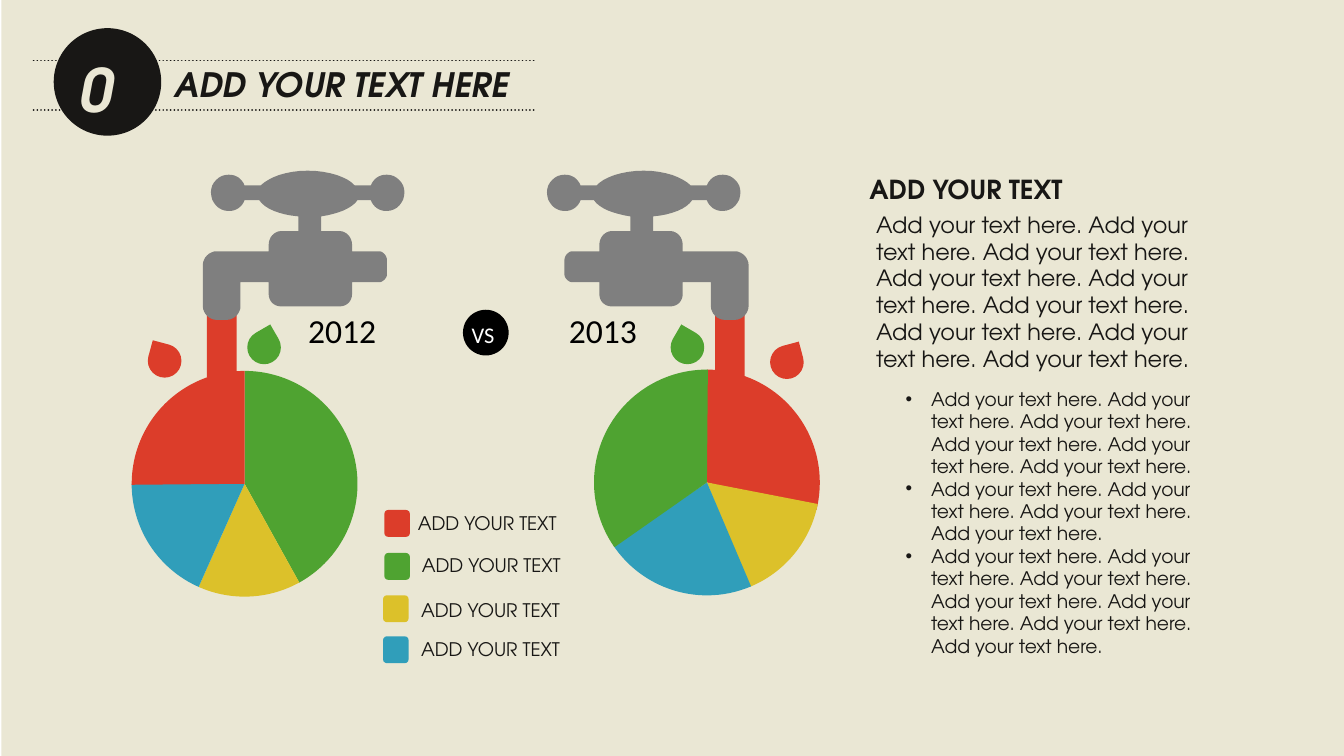
from lxml import etree
from pptx import Presentation
from pptx import util as u
from pptx.dml.color import RGBColor
from pptx.enum import dml, shapes, text
from pptx.oxml.ns import qn

# Grid: 1000 columns by 562.5 rows (16:9), each cell 0.01 inch
COLS, ROWS = 1000, 562.5
CELL = u.Inches(0.01)

INK = RGBColor(0x18, 0x17, 0x15)
SAND = RGBColor(0xEA, 0xE7, 0xD4)
RED = RGBColor(0xDC, 0x3D, 0x2A)
GREEN = RGBColor(0x4F, 0xA3, 0x31)
GOLD = RGBColor(0xDC, 0xC1, 0x2A)
BLUE = RGBColor(0x30, 0x9E, 0xBA)
GREY = RGBColor(0x7F, 0x7F, 0x7F)
BLACK = RGBColor(0, 0, 0)
WHITE = RGBColor(255, 255, 255)
MAIN, PLAIN = "TeX Gyre Adventor", "Calibri"
KIND = shapes.MSO_SHAPE

# Content
LINE = "Add your text here."
HEAD = "ADD YOUR TEXT"
BODY = [" ".join([LINE] * 9)]
POINTS = [" ".join([LINE] * n) for n in (6, 4, 7)]

# Legend: colour, swatch left and top, label left and top
KEYS = [
    (RED, 286, 379.5, 301, 376),
    (GREEN, 286, 411.5, 304, 407),
    (GOLD, 285, 443, 303.5, 441),
    (BLUE, 285, 473.5, 303.5, 470),
]

# Pies: left, top, slices as (colour, start, end) in degrees clockwise from the right
PIES = [
    (98, 276, [(GREEN, 270, 61), (GOLD, 61, 114), (BLUE, 114, 180), (RED, 179.5, 270)]),
    (442, 275, [(RED, 270, 14), (GOLD, 11, 68), (BLUE, 67, 146), (GREEN, 145, 270.5)]),
]
PIE = 168

# Drops: colour, left, top, turn
DROPS = [
    (RED, 110, 256, 285), (GREEN, 184, 246, 330),
    (RED, 573, 257, 345), (GREEN, 499, 246, 300),
]
STREAMS = [(154, 233), (532, 234)]
YEARS = [("2012", 219.5), ("2013", 413.5)]

# Tap outline: two numbers are a line, six a curve
TAP = [
    (229, 127), (245, 127, 259, 132, 264, 138), (276, 138),
    (278, 133, 282, 130, 288, 130), (295, 130, 301, 136, 301, 143),
    (301, 151, 295, 157, 288, 157), (282, 157, 278, 154, 276, 149),
    (266, 149), (262, 155, 252, 159, 239, 161), (239, 172), (253, 172),
    (258, 172, 262, 177, 262, 182), (262, 187), (282, 187),
    (285, 187, 288, 190, 288, 194), (288, 204), (288, 207, 285, 210, 282, 210),
    (262, 210), (262, 219), (262, 224, 258, 228, 253, 228), (209, 228),
    (204, 228, 200, 224, 200, 219), (200, 210), (179, 210), (179, 228),
    (179, 233, 174, 238, 169, 238), (161, 238), (156, 238, 151, 233, 151, 228),
    (151, 197), (151, 192, 156, 187, 161, 187), (200, 187), (200, 182),
    (200, 177, 204, 172, 209, 172), (222, 172), (222, 161),
    (208, 160, 197, 155, 193, 149), (182, 149), (180, 154, 176, 157, 170, 157),
    (163, 157, 157, 151, 157, 143), (157, 136, 163, 130, 170, 130),
    (176, 130, 180, 133, 182, 138), (194, 138), (200, 132, 213, 127, 229, 127),
]
MIRROR = 151 + 557  # left edge of one tap plus right edge of the other


def grid(*cells):
    return [u.Emu(round(c * CELL)) for c in cells]


deck = Presentation()
deck.slide_width, deck.slide_height = grid(COLS, ROWS)
slide = deck.slides.add_slide(deck.slide_layouts[6])


def paint(item, tint):
    item.shadow.inherit = False
    item.fill.solid()
    item.fill.fore_color.rgb = tint
    item.line.fill.background()
    return item


def shape(kind, tint, *box):
    return paint(slide.shapes.add_shape(kind, *grid(*box)), tint)


def write(lines, *box, size=10, font=MAIN, tint=INK, bold=False,
          slant=False, wrap=False, dots=False):
    if isinstance(lines, str):
        lines = [lines]
    frame = slide.shapes.add_textbox(*grid(*box)).text_frame
    frame.word_wrap = wrap
    frame.auto_size = text.MSO_AUTO_SIZE.SHAPE_TO_FIT_TEXT
    for i, line in enumerate(lines):
        para = frame.paragraphs[0] if i == 0 else frame.add_paragraph()
        run = para.add_run()
        run.text = line
        if dots:
            prop = para._p.get_or_add_pPr()
            prop.set("marL", str(19 * CELL))
            prop.set("indent", str(-19 * CELL))
            hue = etree.SubElement(prop, qn("a:buClr"))
            etree.SubElement(hue, qn("a:srgbClr"), val=str(tint))
            etree.SubElement(prop, qn("a:buFont"), typeface="Arial")
            etree.SubElement(prop, qn("a:buChar"), char="•")
        run.font.size, run.font.name = u.Pt(size), font
        run.font.bold, run.font.italic = bold, slant
        run.font.color.rgb = tint


def trace(path, steps=8):
    """Turn lines and cubic curves into a list of points."""
    dots = [path[0]]
    for seg in path[1:]:
        if len(seg) == 2:
            dots.append(seg)
            continue
        ends = [dots[-1], seg[:2], seg[2:4], seg[4:]]
        for k in range(1, steps + 1):
            t = k / steps
            share = ((1 - t) ** 3, 3 * t * (1 - t) ** 2, 3 * t * t * (1 - t), t ** 3)
            dots.append(tuple(sum(s * e[a] for s, e in zip(share, ends)) for a in (0, 1)))
    return dots


def tap(flip):
    fine = 10  # steps per grid cell
    dots = [((MIRROR - x if flip else x) * fine, y * fine) for x, y in trace(TAP)]
    form = slide.shapes.build_freeform(*dots[0], scale=CELL / fine)
    form.add_line_segments(dots[1:], close=True)
    paint(form.convert_to_shape(), GREY)


# Background and title
shape(KIND.RECTANGLE, SAND, 1, 0, COLS - 1, 564)
for y in (45, 82):
    rule = slide.shapes.add_connector(shapes.MSO_CONNECTOR.STRAIGHT, *grid(25, y, 397.5, y))
    rule.line.color.rgb, rule.line.width = INK, u.Pt(1)
    rule.line.dash_style = dml.MSO_LINE.ROUND_DOT
    rule.line._get_or_add_ln().set("cap", "rnd")
    etree.SubElement(rule._element.spPr, qn("a:effectLst"))
shape(KIND.OVAL, INK, 40, 21, 80, 80)
write("ADD YOUR TEXT HERE", 120, 43, 269, 40, size=18, bold=True, slant=True)
write("01", 49, 34, 69, 64, size=32, tint=SAND, bold=True, slant=True)

# Water, pies and taps
for tint, x, y, turn in DROPS:
    shape(KIND.TEAR, tint, x, y, 25, 25).rotation = turn
for x, y in STREAMS:
    shape(KIND.RECTANGLE, RED, x, y, 22, 48)
for x, y, slices in PIES:
    for tint, start, end in slices:
        wedge = shape(KIND.PIE, tint, x, y, PIE, PIE)
        for i, angle in enumerate((start, end)):
            wedge.adjustments[i] = angle * 0.6  # 60000ths of a degree over 100000
for flip in (False, True):
    tap(flip)

# Legend
for tint, x, y, left, top in KEYS:
    shape(KIND.ROUNDED_RECTANGLE, tint, x, y, 19, 20).adjustments[0] = 0.15
    write(HEAD, left, top, 125, 27)

# Years
for year, x in YEARS:
    write(year, x, 226, 77, 40, size=18, font=PLAIN, tint=BLACK)
shape(KIND.OVAL, BLACK, 344.5, 230.5, 34, 34)
write("VS", 341, 234, 39, 30, size=12, font=PLAIN, tint=WHITE)

# Right column
write(BODY, 642, 152, 268, 130, size=12, wrap=True)
write(HEAD, 637, 124, 174, 34, size=14, bold=True)
write(POINTS, 664, 283.5, 240, 211, wrap=True, dots=True)

deck.save("out.pptx")
